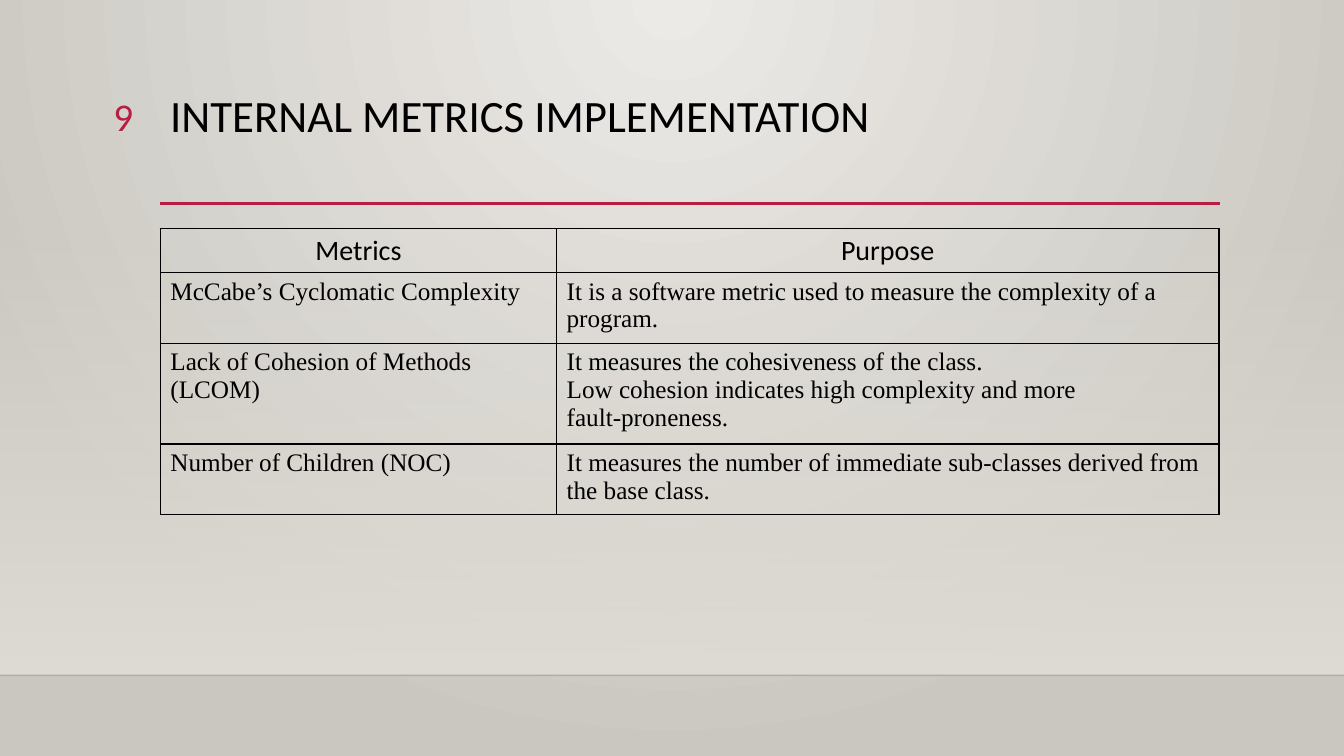
import pptx
import pptx.dml.color
import pptx.enum.shapes
import pptx.enum.text
import pptx.oxml
import pptx.oxml.ns
import pptx.util
from pptx.util import Inches

RGBColor = pptx.dml.color.RGBColor
PP_ALIGN = pptx.enum.text.PP_ALIGN
qn = pptx.oxml.ns.qn

BLACK = RGBColor(0x00, 0x00, 0x00)
NEAR_BLACK = RGBColor(0x00, 0x00, 0x01)
CRIMSON = RGBColor(0xB7, 0x1E, 0x42)
BG_LIGHT = RGBColor(0xEC, 0xEA, 0xE7)
BG_DARK = RGBColor(0xCA, 0xC7, 0xC1)
WALL = RGBColor(0xDF, 0xDB, 0xD5)

A_NS = pptx.oxml.ns.nsdecls("a")
HEADING_FONT = "Calibri"
BODY_FONT = "Times New Roman"
WIDTH, HEIGHT = 13.33, 7.5
LEFT, FLOOR = 1.59, 6.7

COLUMN_WIDTHS = (3.93, 6.57)
ROW_HEIGHTS = (0.38, 0.61, 0.61, 0.61)
METRICS = (
    ("Metrics", "Purpose"),
    ("McCabe’s Cyclomatic Complexity",
     "It is a software metric used to measure the complexity of a program."),
    ("Lack of Cohesion of Methods (LCOM)",
     "It measures the cohesiveness of the class.\n"
     "Low cohesion indicates high complexity and more\n"
     "fault-proneness."),
    ("Number of Children (NOC)",
     "It measures the number of immediate sub-classes derived from the base class."),
)


def write_text(tf, text, *, size, font=HEADING_FONT, color=BLACK,
               align=PP_ALIGN.LEFT, spacing=None):
    tf.word_wrap = True
    for i, line in enumerate(text.split("\n")):
        p = tf.paragraphs[0] if i == 0 else tf.add_paragraph()
        p.alignment = align
        if spacing:
            p.line_spacing = spacing
        r = p.add_run()
        r.text = line
        r.font.size = pptx.util.Pt(size)
        r.font.name = font
        r.font.color.rgb = color


def add_text(s, box, text, **style):
    sp = s.shapes.add_textbox(*map(Inches, box))
    write_text(sp.text_frame, text, **style)


def set_gradient(fill, start, end, shade, start_alpha=100):
    """Give a fill two colour stops and the shading element in `shade`."""
    fill.gradient()
    grad = fill._xPr.find(qn("a:gradFill"))
    for child in list(grad):
        grad.remove(child)
    grad.append(pptx.oxml.parse_xml(
        f'<a:gsLst {A_NS}><a:gs pos="0"><a:srgbClr val="{start}">'
        f'<a:alpha val="{start_alpha * 1000}"/></a:srgbClr></a:gs>'
        f'<a:gs pos="100000"><a:srgbClr val="{end}"/></a:gs></a:gsLst>'))
    grad.append(pptx.oxml.parse_xml(shade))


def add_rule(s, x1, x2, y, color, width, opacity=100):
    line = s.shapes.add_connector(
        pptx.enum.shapes.MSO_CONNECTOR.STRAIGHT,
        Inches(x1), Inches(y), Inches(x2), Inches(y))
    line.line.color.rgb = color
    line.line.width = pptx.util.Pt(width)
    sp_pr = line._element.spPr
    if opacity < 100:
        sp_pr.find(".//" + qn("a:srgbClr")).append(
            pptx.oxml.parse_xml(f'<a:alpha {A_NS} val="{opacity * 1000}"/>'))
    sp_pr.append(pptx.oxml.parse_xml(f"<a:effectLst {A_NS}/>"))


def set_borders(cell, color, width):
    tc_pr = cell._tc.get_or_add_tcPr()
    for i, side in enumerate("LRTB"):
        tc_pr.insert(i, pptx.oxml.parse_xml(
            f'<a:ln{side} {A_NS} w="{pptx.util.Pt(width)}"><a:solidFill>'
            f'<a:srgbClr val="{color}"/></a:solidFill></a:ln{side}>'))


def add_metrics_table(s):
    table = s.shapes.add_table(
        len(METRICS), len(COLUMN_WIDTHS), Inches(LEFT), Inches(2.27),
        Inches(sum(COLUMN_WIDTHS)), Inches(sum(ROW_HEIGHTS))).table
    table.first_row = table.horz_banding = False
    for column, width in zip(table.columns, COLUMN_WIDTHS):
        column.width = Inches(width)
    for i, (row, height) in enumerate(zip(table.rows, ROW_HEIGHTS)):
        row.height = Inches(height)
        if i == 0:
            style = dict(size=20, align=PP_ALIGN.CENTER)
        else:
            style = dict(size=18, font=BODY_FONT)
        for cell, text in zip(row.cells, METRICS[i]):
            cell.fill.background()
            set_borders(cell, BLACK, 1)
            write_text(cell.text_frame, text, **style)


def add_backdrop(s):
    set_gradient(
        s.background.fill, BG_LIGHT, BG_DARK,
        f'<a:path {A_NS} path="circle">'
        '<a:fillToRect l="43000" t="0" r="43000" b="100000"/></a:path>')
    wall = s.shapes.add_shape(
        pptx.enum.shapes.MSO_SHAPE.RECTANGLE,
        Inches(0), Inches(2.21), Inches(WIDTH), Inches(FLOOR - 2.21))
    wall.shadow.inherit = False
    wall.line.fill.background()
    set_gradient(wall.fill, WALL, WALL,
                 f'<a:lin {A_NS} ang="5400000" scaled="0"/>', start_alpha=0)
    add_rule(s, 0, WIDTH, FLOOR, NEAR_BLACK, 1, opacity=20)


def main():
    prs = pptx.Presentation()
    prs.slide_width, prs.slide_height = Inches(WIDTH), Inches(HEIGHT)
    s = prs.slides.add_slide(prs.slide_layouts[6])

    # Wall and floor
    add_backdrop(s)

    # Title with its rule and slide number
    add_rule(s, LEFT, 12.1, 2.02, CRIMSON, 2.5)
    add_text(s, (LEFT, 0.88, 10.5, 1.15), "INTERNAL METRICS IMPLEMENTATION",
             size=32, spacing=0.9)
    add_text(s, (0.53, 0.87, 0.89, 0.55), "9",
             size=28, color=CRIMSON, align=PP_ALIGN.RIGHT)

    # Metrics and their purpose
    add_metrics_table(s)

    prs.save("out.pptx")


if __name__ == "__main__":
    main()
